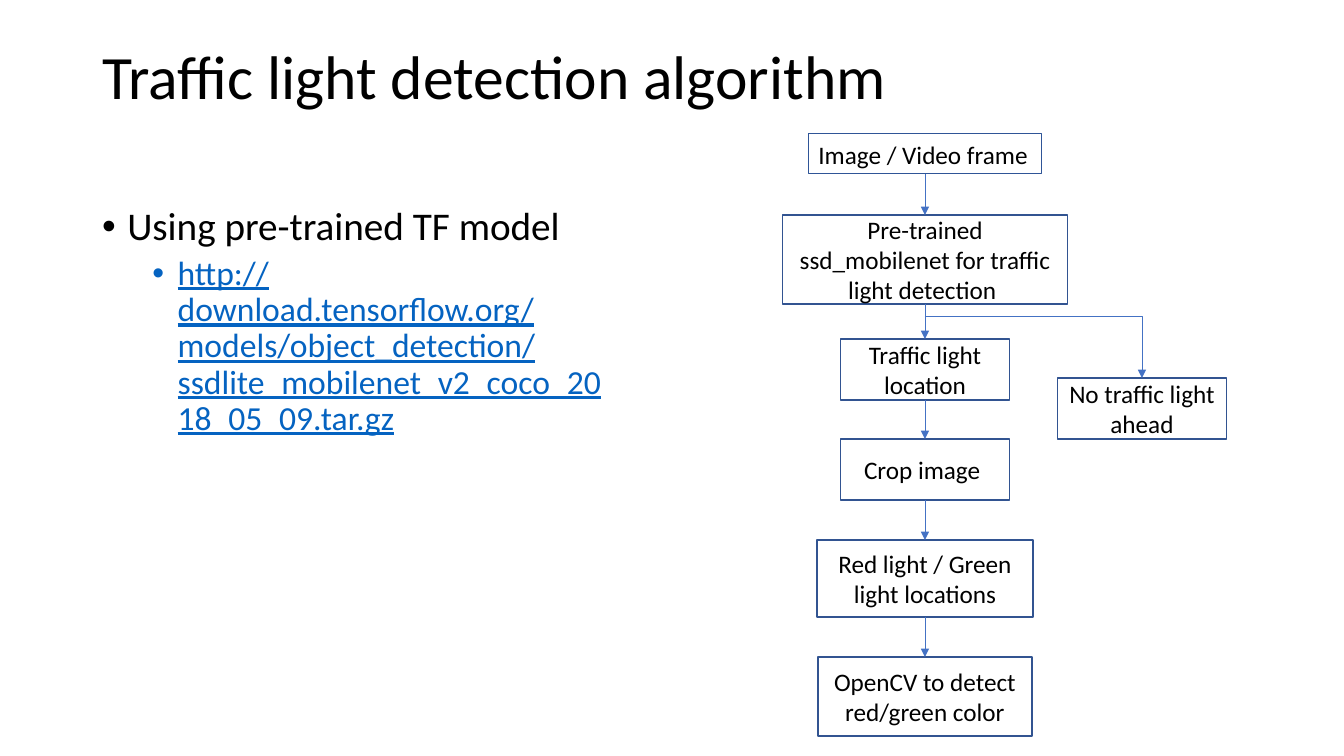
from lxml import etree
from pptx import Presentation
from pptx.dml.color import RGBColor
from pptx.enum.shapes import MSO_CONNECTOR, MSO_SHAPE
from pptx.enum.text import MSO_ANCHOR, MSO_AUTO_SIZE, PP_ALIGN
from pptx.oxml.ns import qn
from pptx.util import Inches, Pt

STRAIGHT, ELBOW = MSO_CONNECTOR.STRAIGHT, MSO_CONNECTOR.ELBOW
RECTANGLE = MSO_SHAPE.RECTANGLE
TOP, MIDDLE = MSO_ANCHOR.TOP, MSO_ANCHOR.MIDDLE
LEFT, CENTER = PP_ALIGN.LEFT, PP_ALIGN.CENTER
NO_FIT, GROW = MSO_AUTO_SIZE.NONE, MSO_AUTO_SIZE.SHAPE_TO_FIT_TEXT

# Content
TITLE = "Traffic light detection algorithm"
TITLE_BOX = (92, 7, 1159, 146)
BODY_BOX = (92, 202, 520, 480)
# text, level, size, space before, left margin in inches, colour, underlined
BULLETS = [
    ("Using pre-trained TF model", 0, 28, 10, 0.25, "000000", False),
    ("http://download.tensorflow.org/models/object_detection/"
     "ssdlite_mobilenet_v2_coco_2018_05_09.tar.gz", 1, 24, 5, 0.75, "0563C1", True),
]
# text, top, width, height
INPUT_STEP = ("Image / Video frame", 134, 233, 40)
STEPS = [
    ("Pre-trained ssd_mobilenet for traffic light detection ", 215, 285, 89),
    ("Traffic light location", 339, 169, 61),
    ("Crop image ", 439, 169, 61),
    ("Red light / Green light locations", 540, 216, 77),
    ("OpenCV to detect red/green color", 657, 214, 79),
]
NO_LIGHT_STEP = ("No traffic light ahead", 378, 169, 61)
FLOW_X, NO_LIGHT_X, BRANCH_Y = 925, 1142, 316

FONT, BLACK, WHITE = "Calibri", "000000", "FFFFFF"
BOX_LINE, INPUT_LINE, ARROW = "325491", "2F5597", "4472C4"
EMU_PER_PIXEL = 914400 / 100.8


def px(pixels):
    return round(pixels * EMU_PER_PIXEL)


def color(hex_string):
    return RGBColor.from_string(hex_string)


def place(shape, box):
    shape.left, shape.top, shape.width, shape.height = map(px, box)


def format_runs(paragraph, size, hex_string, underlined=False):
    for run in paragraph.runs:
        run.font.name, run.font.size = FONT, Pt(size)
        run.font.color.rgb = color(hex_string)
        run.font.underline = underlined


def add_step(step, center, line_color=BOX_LINE, line_width=1):
    text, top, width, height = step
    shape = slide.shapes.add_shape(
        RECTANGLE, *map(px, (center - width / 2, top, width, height)))
    shape.shadow.inherit = False
    shape.fill.solid()
    shape.fill.fore_color.rgb = color(WHITE)
    shape.line.color.rgb = color(line_color)
    shape.line.width = Pt(line_width)
    frame = shape.text_frame
    frame.text = text
    frame.word_wrap = True
    frame.vertical_anchor = MIDDLE
    frame.paragraphs[0].alignment = CENTER
    format_runs(frame.paragraphs[0], 18, BLACK)
    return shape


def add_arrow(kind, begin_x, begin_y, end_x, end_y):
    connector = slide.shapes.add_connector(
        kind, *map(px, (begin_x, begin_y, end_x, end_y)))
    connector.line.color.rgb = color(ARROW)
    connector.line.width = Pt(0.5)
    properties = connector._element.spPr
    etree.SubElement(properties.find(qn("a:ln")), qn("a:tailEnd"), type="triangle")
    etree.SubElement(properties, qn("a:effectLst"))
    return connector


presentation = Presentation()
presentation.slide_width, presentation.slide_height = px(1344), px(756)
slide = presentation.slides.add_slide(presentation.slide_layouts[1])

# Title
title = slide.shapes.title
place(title, TITLE_BOX)
title.text_frame.text = TITLE
title.text_frame.auto_size = NO_FIT
title.text_frame.vertical_anchor = MIDDLE
title_paragraph = title.text_frame.paragraphs[0]
title_paragraph.alignment = LEFT
title_paragraph.line_spacing = 0.9
format_runs(title_paragraph, 44, BLACK)

# Bulleted list
body = slide.placeholders[1]
place(body, BODY_BOX)
body.text_frame.text = "\n".join(bullet[0] for bullet in BULLETS)
body.text_frame.auto_size = NO_FIT
for paragraph, bullet in zip(body.text_frame.paragraphs, BULLETS):
    _, level, size, space, margin, hex_string, underlined = bullet
    paragraph.level = level
    paragraph.line_spacing = 0.9
    paragraph.space_before = Pt(space)
    format_runs(paragraph, size, hex_string, underlined)
    properties = paragraph._p.get_or_add_pPr()
    properties.set("marL", str(Inches(margin)))
    properties.set("indent", str(Inches(-0.25)))
    etree.SubElement(properties, qn("a:buFont"), typeface="Arial")
    etree.SubElement(properties, qn("a:buChar"), char="•")

# Flowchart boxes
input_box = add_step(INPUT_STEP, FLOW_X, INPUT_LINE, 0.75)
input_frame = input_box.text_frame
input_frame.word_wrap = False
input_frame.auto_size = GROW
input_frame.vertical_anchor = TOP
input_frame.paragraphs[0].alignment = LEFT
flow_boxes = [input_box] + [add_step(step, FLOW_X) for step in STEPS]
add_step(NO_LIGHT_STEP, NO_LIGHT_X)

# Arrows down the flow, glued from bottom to top
for upper, lower in zip(flow_boxes, flow_boxes[1:]):
    arrow = add_arrow(STRAIGHT, FLOW_X, 0, FLOW_X, 0)
    arrow.begin_connect(upper, 2)
    arrow.end_connect(lower, 0)

# Branch that turns once, to the box without a light
branch = add_arrow(ELBOW, FLOW_X, BRANCH_Y, NO_LIGHT_X, NO_LIGHT_STEP[1])
branch._element.spPr.find(qn("a:prstGeom")).set("prst", "bentConnector2")

presentation.save("out.pptx")
